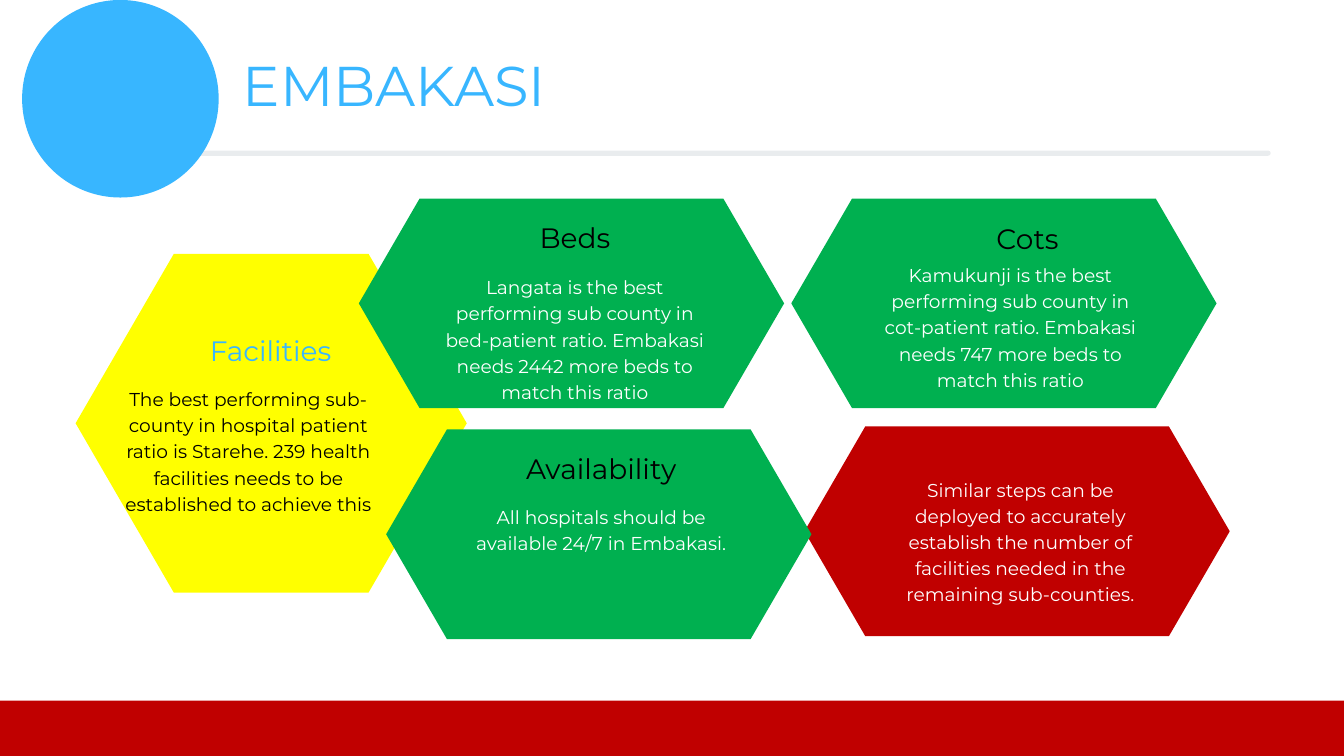
from lxml import etree
from pptx import Presentation
from pptx.dml.color import RGBColor
from pptx.enum import shapes, text
from pptx.oxml import ns
from pptx.util import Pt

FONT = "Montserrat"
BLUE, GREEN, RED, YELLOW = "38B6FF", "00B050", "C00000", "FFFF00"
BLACK, WHITE, NAVY = "000000", "FFFFFF", "2E465B"
WIDE, HIGH = 960, 540
CARD = (303.8, 149.8)
TEXT_W = 192.2

# hexagon: left, top, size, fill; heading and body: left, top, colour, words
CARDS = [
    ((54, 181.4, (279.4, 241.9), YELLOW),
     (97.2, 234, BLUE, "Facilities"),
     (81.4, 274.3, BLACK, "The best performing sub-county in hospital patient ratio is "
      "Starehe. 239 health facilities needs to be established to achieve this")),
    ((256.3, 141.8, CARD, GREEN),
     (314.6, 153.4, BLACK, "Beds"),
     (314.6, 194.4, WHITE, "Langata is the best performing sub county in bed-patient "
      "ratio. Embakasi needs 2442 more beds to match this ratio")),
    ((574.6, 304.6, CARD, RED),
     None,
     (632.9, 339.1, WHITE, "Similar steps can be deployed to accurately establish the "
      "number of facilities needed in the remaining sub-counties.")),
    ((565.2, 141.8, CARD, GREEN),
     (637.9, 154.1, BLACK, "Cots"),
     (625.7, 185.8, WHITE, "Kamukunji is the best performing sub county in cot-patient "
      "ratio. Embakasi needs 747 more beds to match this ratio")),
    ((275.8, 306.7, CARD, GREEN),
     (333.4, 318.2, BLACK, "Availability"),
     (333.4, 358.6, WHITE, "All hospitals should be available 24/7 in Embakasi.")),
]


def paint(tone):
    return RGBColor.from_string(tone)


def add_form(slide, kind, left, top, size, tone):
    form = slide.shapes.add_shape(kind, Pt(left), Pt(top), *map(Pt, size))
    form.shadow.inherit = False
    form.fill.solid()
    form.fill.fore_color.rgb = paint(tone)
    form.line.fill.background()
    return form


def write(frame, words, size, lead, tone, align):
    """Fill a text frame with one paragraph, without margins."""
    frame.margin_left = frame.margin_right = 0
    frame.margin_top = frame.margin_bottom = 0
    frame.word_wrap = True
    frame.auto_size = text.MSO_AUTO_SIZE.NONE
    frame.vertical_anchor = text.MSO_ANCHOR.TOP
    frame.text = words
    para = frame.paragraphs[0]
    para.alignment = align
    para.line_spacing = Pt(lead)
    para.font.name = FONT
    para.font.size = Pt(size)
    para.font.color.rgb = paint(tone)


def add_label(slide, left, top, tone, words, size, lead, high):
    box = slide.shapes.add_textbox(Pt(left), Pt(top), Pt(TEXT_W), Pt(high))
    write(box.text_frame, words, size, lead, tone, text.PP_ALIGN.CENTER)


def add_card(slide, shape, head, body):
    form = add_form(slide, shapes.MSO_SHAPE.HEXAGON, *shape)
    form.adjustments[0] = 0.29
    if head:
        add_label(slide, *head, size=20, lead=28, high=26)
    add_label(slide, *body, size=13.3, lead=18.7, high=94.3)


def add_rule(slide, left, right, top):
    """Draw a pale line with round ends."""
    rule = slide.shapes.add_connector(
        shapes.MSO_CONNECTOR.STRAIGHT, Pt(left), Pt(top), Pt(right), Pt(top))
    rule.line.width = Pt(3.75)
    rule.line.color.rgb = paint(NAVY)
    props = rule._element.spPr
    etree.SubElement(props, ns.qn("a:effectLst"))
    props.find(ns.qn("a:ln")).set("cap", "rnd")
    tint = next(props.iter(ns.qn("a:srgbClr")))
    etree.SubElement(tint, ns.qn("a:alpha")).set("val", "10000")


def set_title(slide, words):
    title = slide.shapes.title
    title.left, title.top, title.width, title.height = map(
        Pt, (173.5, 56.2, 268.6, 31.7))
    write(title.text_frame, words, 40, 28, BLUE, text.PP_ALIGN.LEFT)


def main():
    deck = Presentation()
    deck.slide_width, deck.slide_height = Pt(WIDE), Pt(HIGH)
    slide = deck.slides.add_slide(deck.slide_layouts[5])
    set_title(slide, "EMBAKASI")
    add_form(slide, shapes.MSO_SHAPE.RECTANGLE, 0, 500.4, (WIDE, 39.6), RED)
    add_rule(slide, 54, 905.8, 109.4)
    add_form(slide, shapes.MSO_SHAPE.OVAL, 15.8, 0, (140.4, 141.1), BLUE)
    for card in CARDS:
        add_card(slide, *card)
    deck.save("out.pptx")


if __name__ == "__main__":
    main()
